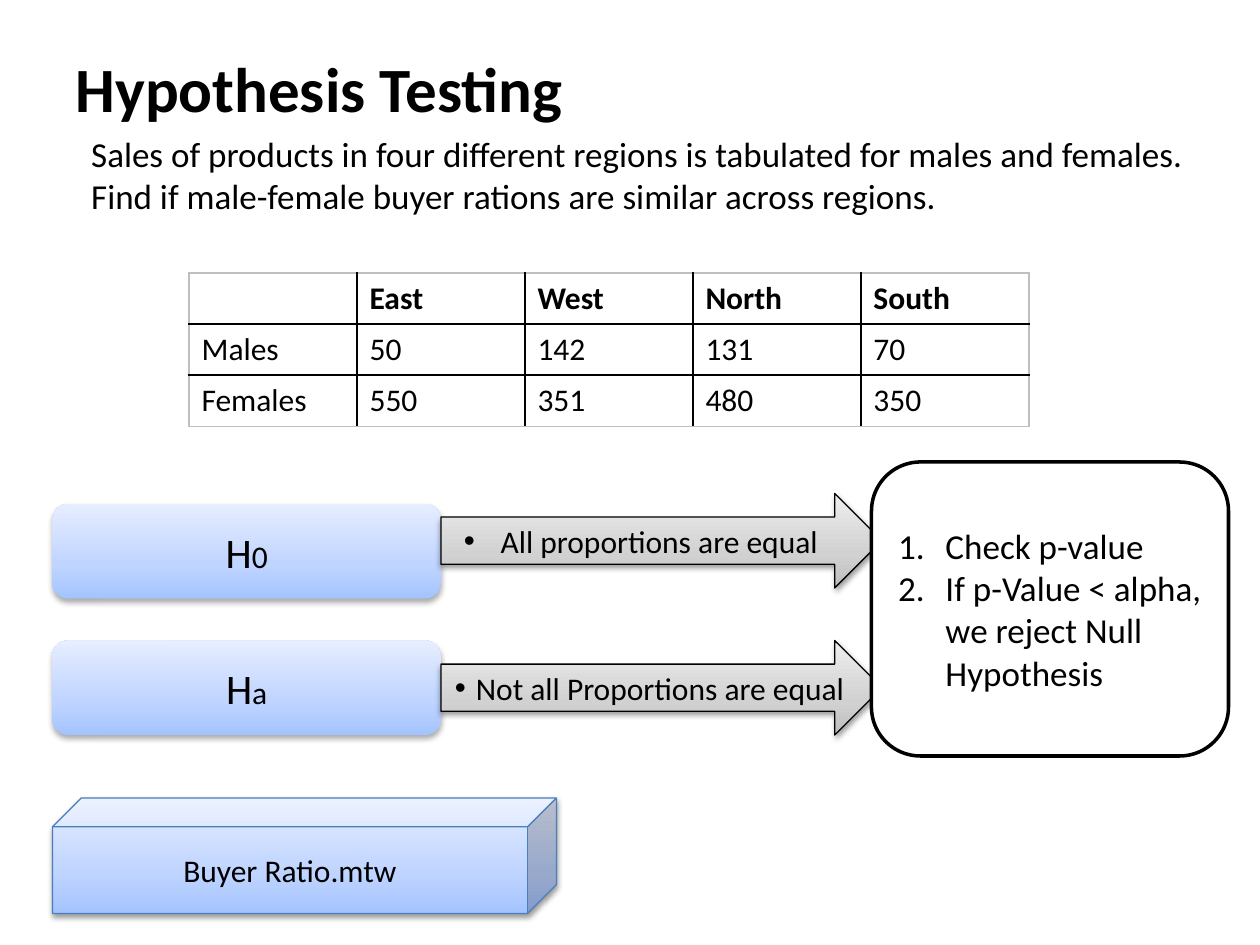
from dataclasses import dataclass
from typing import Optional

from lxml.etree import SubElement
from pptx import Presentation
from pptx.dml.color import RGBColor
from pptx.enum.shapes import MSO_SHAPE as Preset
from pptx.enum.text import MSO_ANCHOR as Anchor, PP_ALIGN as Align
from pptx.oxml.ns import qn
from pptx.util import Pt

BLUE = ((0, "A4C4FF"), (35, "BFD4FF"), (100, "E6EEFF"))
GREY = ((0, "BDBDBD"), (35, "D1D1D1"), (100, "EEEEEE"))


@dataclass(frozen=True)
class Run:
    text: str
    size: float
    bold: bool = False


@dataclass(frozen=True)
class Shadow:
    opacity: int
    blur: float
    distance: float


@dataclass(frozen=True)
class Block:
    preset: Preset
    box: tuple
    paragraphs: tuple
    gradient: Optional[tuple] = None
    line: Optional[tuple] = None
    shadow: Optional[Shadow] = None
    marker: Optional[str] = None
    hanging: float = 0
    align: Align = Align.CENTER
    right_inset: float = 7.2


SOFT = Shadow(32, 3.5, 2.2)
FIRM = Shadow(38, 3.1, 1.6)


def color(value: str) -> RGBColor:
    return RGBColor.from_string(value)


def points(box: tuple) -> tuple:
    return tuple(Pt(length) for length in box)


def add_runs(paragraph, runs: tuple) -> None:
    for item in runs:
        run = paragraph.add_run()
        run.text = item.text
        run.font.size = Pt(item.size)
        run.font.name = "Calibri"
        run.font.bold = item.bold
        run.font.color.rgb = color("000000")


def add_color(parent, value: str):
    return SubElement(parent, qn("a:srgbClr"), val=value)


def set_gradient(shape, stops: tuple) -> None:
    shape.fill.gradient()
    shape.fill.gradient_angle = 90
    stop_list = shape._element.spPr.find(f"{qn('a:gradFill')}/{qn('a:gsLst')}")
    for old_stop in list(stop_list):
        stop_list.remove(old_stop)
    for position, value in stops:
        add_color(SubElement(stop_list, qn("a:gs"), pos=str(position * 1000)), value)


def set_shadow(shape, shadow: Optional[Shadow]) -> None:
    shape.shadow.inherit = False
    if shadow:
        effects = shape._element.spPr.find(qn("a:effectLst"))
        outer = SubElement(effects, qn("a:outerShdw"), blurRad=str(Pt(shadow.blur)),
                           dist=str(Pt(shadow.distance)), dir="5400000", rotWithShape="0")
        SubElement(add_color(outer, "000000"), qn("a:alpha"), val=str(shadow.opacity * 1000))


def set_marker(paragraph, marker: str, hanging: float) -> None:
    properties = paragraph._p.get_or_add_pPr()
    properties.set("marL", str(Pt(hanging)))
    properties.set("indent", str(-Pt(hanging)))
    if marker == "number":
        SubElement(properties, qn("a:buFont"), typeface="+mj-lt")
        SubElement(properties, qn("a:buAutoNum"), type="arabicPeriod")
    else:
        SubElement(properties, qn("a:buFont"), typeface="Arial")
        SubElement(properties, qn("a:buChar"), char=marker)


def add_block(slide, block: Block) -> None:
    shape = slide.shapes.add_shape(block.preset, *points(block.box))
    if block.gradient:
        set_gradient(shape, block.gradient)
    else:
        shape.fill.solid()
        shape.fill.fore_color.rgb = color("FFFFFF")
    if block.line:
        shape.line.color.rgb = color(block.line[0])
        shape.line.width = Pt(block.line[1])
    else:
        shape.line.fill.background()
    set_shadow(shape, block.shadow)
    frame = shape.text_frame
    frame.word_wrap = True
    frame.vertical_anchor = Anchor.MIDDLE
    frame.margin_right = Pt(block.right_inset)
    for index, runs in enumerate(block.paragraphs):
        paragraph = frame.add_paragraph() if index else frame.paragraphs[0]
        paragraph.alignment = block.align
        if block.marker:
            set_marker(paragraph, block.marker, block.hanging)
        add_runs(paragraph, runs)


def set_borders(cell, outer_sides: dict) -> None:
    properties = cell._tc.get_or_add_tcPr()
    for index, (side, is_outer) in enumerate(outer_sides.items()):
        border = properties.makeelement(qn(f"a:{side}"), {"w": str(Pt(1))})
        add_color(SubElement(border, qn("a:solidFill")), "BFBFBF" if is_outer else "000000")
        properties.insert(index, border)


def add_sales(slide, sales: tuple) -> None:
    row_count, column_count = len(sales), len(sales[0])
    table = slide.shapes.add_table(row_count, column_count,
                                   *points((108, 156, 480, 87.6))).table
    table.horz_banding = False
    for column in table.columns:
        column.width = Pt(96)
    for r, values in enumerate(sales):
        table.rows[r].height = Pt(29.2)
        for c, value in enumerate(values):
            cell = table.cell(r, c)
            cell.fill.background()
            set_borders(cell, {"lnL": c == 0, "lnR": c == column_count - 1,
                               "lnT": r == 0, "lnB": r == row_count - 1})
            if value:
                add_runs(cell.text_frame.paragraphs[0], (Run(value, 18, r == 0),))


def hypothesis(subscript: str, top: float) -> Block:
    return Block(Preset.ROUNDED_RECTANGLE, (30, top, 222, 54),
                 ((Run("H", 24), Run(subscript, 18)),), BLUE, shadow=SOFT)


def claim(text: str, top: float, hanging: float, right_inset: float) -> Block:
    return Block(Preset.RIGHT_ARROW, (252, top, 252, 54), ((Run(text, 18),),), GREY,
                 ("000000", 0.75), FIRM, "•", hanging, right_inset=right_inset)


SALES = (
    ("", "East", "West", "North", "South"),
    ("Males", "50", "142", "131", "70"),
    ("Females", "550", "351", "480", "350"),
)
BLOCKS = (
    hypothesis("0", 288),
    hypothesis("a", 366),
    claim("All proportions are equal", 282, 21, 17),
    claim("Not all Proportions are equal", 366, 12, 7.2),
    Block(Preset.ROUNDED_RECTANGLE, (498, 264, 204, 168),
          ((Run("Check p-value", 20),),
           (Run("If p-Value < alpha, we reject Null Hypothesis", 20),)),
          line=("000000", 2), marker="number", hanging=27, align=Align.LEFT),
    Block(Preset.CUBE, (30, 456, 288, 66), ((Run("Buyer Ratio.mtw", 18),),),
          BLUE, ("4B7EBC", 0.75), FIRM),
)

presentation = Presentation()
presentation.slide_width, presentation.slide_height = Pt(720), Pt(540)
slide = presentation.slides.add_slide(presentation.slide_layouts[5])

title = slide.shapes.title
title.left, title.top, title.width, title.height = points((36, 21.6, 648, 56))
title.text_frame.vertical_anchor = Anchor.MIDDLE
title.text_frame.paragraphs[0].alignment = Align.LEFT
add_runs(title.text_frame.paragraphs[0], (Run("Hypothesis Testing", 36, True),))

problem = slide.shapes.add_textbox(*points((45, 72, 655, 60))).text_frame
problem.word_wrap = True
add_runs(problem.paragraphs[0], (Run(
    "Sales of products in four different regions is tabulated for males and females. "
    "Find if male-female buyer rations are similar across regions.", 20),))

add_sales(slide, SALES)
for block in BLOCKS:
    add_block(slide, block)

presentation.save("out.pptx")
